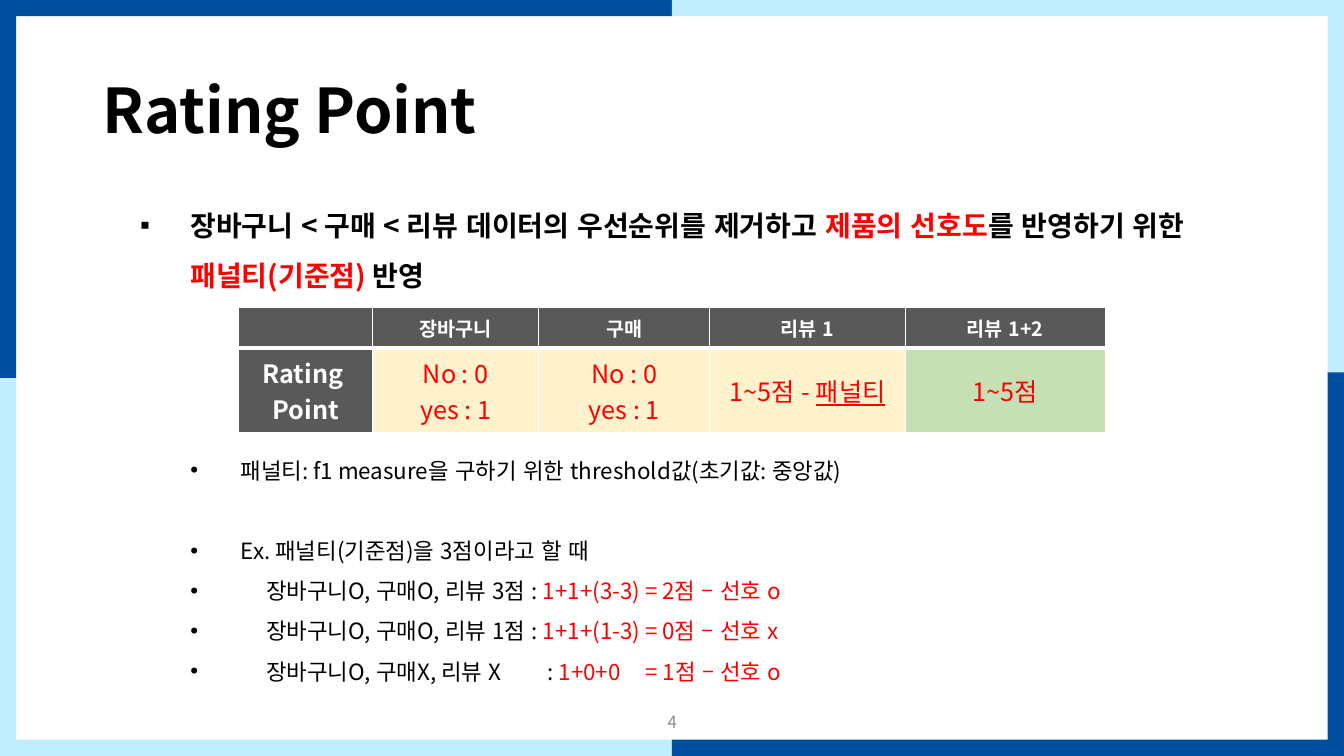
from lxml import etree
from pptx import Presentation
from pptx.dml.color import RGBColor
from pptx.enum import lang, shapes, text
from pptx.oxml import ns
from pptx import util as u

COLOURS = {
    "navy": "004F9E", "sky": "C2EDFE", "black": "000000", "white": "FFFFFF",
    "red": "FF0000", "grey": "8C8C8C", "header": "595959",
    "cream": "FFF2CC", "green": "C5E0B4",
}
WIDTH, HEIGHT = 33.87, 19.05


class SlideBuilder:
    """Holds the style and the current slide; lengths are centimetres."""
    font = "Noto Sans CJK KR"

    def __init__(self, page):
        self.page = page

    def colour(self, name):
        return RGBColor.from_string(COLOURS[name])

    def span(self, para, words, size, colour="black", bold=False, underline=False):
        span = para.add_run()
        span.text = words
        font = span.font
        font.name, font.size = self.font, u.Pt(size)
        font.bold, font.underline = bold, underline
        font.language_id = lang.MSO_LANGUAGE_ID.KOREAN
        font.color.rgb = self.colour(colour)
        east = etree.SubElement(span._r.get_or_add_rPr(), ns.qn("a:ea"))
        east.set("typeface", self.font)

    def bullet(self, para, mark, left, hanging, tabs=()):
        props = para._p.get_or_add_pPr()
        props.set("marL", str(u.Cm(left)))
        props.set("indent", str(-u.Cm(hanging)))
        etree.SubElement(props, ns.qn("a:buFont")).set("typeface", "Arial")
        etree.SubElement(props, ns.qn("a:buChar")).set("char", mark)
        if tabs:
            stops = etree.SubElement(props, ns.qn("a:tabLst"))
            for place in tabs:
                etree.SubElement(stops, ns.qn("a:tab"), pos=str(u.Cm(place)), algn="l")

    def bar(self, left, top, width, height, colour):
        bar = self.page.shapes.add_shape(
            shapes.MSO_SHAPE.RECTANGLE, *map(u.Cm, (left, top, width, height)))
        bar.shadow.inherit = False
        bar.fill.solid()
        bar.fill.fore_color.rgb = self.colour(colour)
        bar.line.fill.background()

    def title(self, left, top, width, height, words):
        title = self.page.shapes.title
        title.left, title.top, title.width, title.height = map(
            u.Cm, (left, top, width, height))
        title.text_frame.vertical_anchor = text.MSO_ANCHOR.MIDDLE
        para = title.text_frame.paragraphs[0]
        para.alignment, para.line_spacing = text.PP_ALIGN.LEFT, 0.9
        self.span(para, words, 44, bold=True)

    def box(self, left, top, width, height, anchor=text.MSO_ANCHOR.TOP):
        box = self.page.shapes.add_textbox(*map(u.Cm, (left, top, width, height)))
        box.text_frame.word_wrap = True
        box.text_frame.vertical_anchor = anchor
        return box.text_frame

    def border(self, cell, top, bottom):
        props = cell._tc.get_or_add_tcPr()
        sides = (("lnL", 1), ("lnR", 1), ("lnT", top), ("lnB", bottom))
        for place, (side, points) in enumerate(sides):
            line = etree.Element(ns.qn("a:" + side), w=str(u.Pt(points)))
            fill = etree.SubElement(line, ns.qn("a:solidFill"))
            etree.SubElement(fill, ns.qn("a:srgbClr")).set("val", COLOURS["white"])
            props.insert(place, line)

    def cell(self, cell, lines, fill, size, colour, bold, top, bottom):
        """Each line is a list of (words, underline) spans."""
        cell.fill.solid()
        cell.fill.fore_color.rgb = self.colour(fill)
        cell.vertical_anchor = text.MSO_ANCHOR.MIDDLE
        self.border(cell, top, bottom)
        for number, line in enumerate(lines):
            frame = cell.text_frame
            para = frame.add_paragraph() if number else frame.paragraphs[0]
            para.alignment = text.PP_ALIGN.CENTER
            for words, underline in line:
                self.span(para, words, size, colour, bold, underline)

    def table(self, left, top, widths, heights):
        frame = self.page.shapes.add_table(
            len(heights), len(widths),
            *map(u.Cm, (left, top, sum(widths), sum(heights))))
        for column, width in zip(frame.table.columns, widths):
            column.width = u.Cm(width)
        for row, height in zip(frame.table.rows, heights):
            row.height = u.Cm(height)
        return frame.table


def main():
    deck = Presentation()
    deck.slide_width, deck.slide_height = u.Cm(WIDTH), u.Cm(HEIGHT)
    slide = SlideBuilder(deck.slides.add_slide(deck.slide_layouts[5]))

    # Two-colour frame: each edge is split in half
    thick, half_w, half_h = 0.41, WIDTH / 2, HEIGHT / 2
    for top, pair in ((0, ("navy", "sky")), (HEIGHT - thick, ("sky", "navy"))):
        for part, colour in enumerate(pair):
            slide.bar(part * half_w, top, half_w, thick, colour)
    for left, pair, lift in ((0, ("navy", "sky"), 0),
                             (WIDTH - thick, ("sky", "navy"), 0.14)):
        for part, colour in enumerate(pair):
            slide.bar(left, part * (half_h - lift), thick, half_h, colour)

    # Title and page number on its white plate
    slide.title(2.34, 1.02, 29.21, 3.68, "Rating Point")
    slide.bar(16.56, 17.93, 0.71, 0.69, "white")
    number = slide.box(13.13, 17.68, 7.62, 1.02, text.MSO_ANCHOR.MIDDLE).paragraphs[0]
    number.alignment = text.PP_ALIGN.CENTER
    slide.span(number, "4", 12, "grey")

    # Main statement, leaving room for the table below it
    body = slide.box(3.28, 4.7, 27, 12.7)
    statement = body.paragraphs[0]
    statement.line_spacing, statement.space_after = 1.5, u.Pt(108)
    slide.bullet(statement, "▪", 1.27, 1.27)
    for words, colour in (
            ("장바구니 < 구매 < 리뷰 데이터의 우선순위를 제거하고 ", "black"),
            ("제품의 선호도", "red"), ("를 반영하기 위한 ", "black"),
            ("패널티(기준점)", "red"), (" 반영", "black")):
        slide.span(statement, words, 20, colour, bold=True)

    # Notes and worked examples: black part, red part, extra indent, space after
    notes = (
        ("패널티: f1 measure을 구하기 위한 threshold값(초기값: 중앙값)", "", 0, 28.5),
        ("Ex. 패널티(기준점)을 3점이라고 할 때", "", 0, 0),
        ("장바구니O, 구매O, 리뷰 3점 : ", "1+1+(3-3) = 2점 – 선호 o", 0.64, 0),
        ("장바구니O, 구매O, 리뷰 1점 : ", "1+1+(1-3) = 0점 – 선호 x", 0.64, 0),
        ("장바구니O, 구매X, 리뷰 X\t: ", "1+0+0\t= 1점 – 선호 o", 0.64, 0),
    )
    for words, result, extra, gap in notes:
        para = body.add_paragraph()
        para.level, para.line_spacing = 1, 1.5
        para.space_before, para.space_after = u.Pt(0), u.Pt(gap)
        tabs = (10.27, 12.74) if "\t" in words else ()
        slide.bullet(para, "•", 2.54 + extra, 1.27 + extra, tabs)
        slide.span(para, words, 16)
        if result:
            slide.span(para, result, 16, "red")

    # Rating table
    table = slide.table(6.02, 7.75, (3.37, 4.19, 4.3, 4.93, 5.04), (1.02, 2.13))
    for column, words in enumerate(("", "장바구니", "구매", "리뷰 1", "리뷰 1+2")):
        slide.cell(table.cell(0, column), [[(words, False)]],
                   "header", 14, "white", True, 1, 3)
    yes_no = [[("No : 0", False)], [("yes : 1", False)]]
    ratings = (
        ([[("Rating ", False)], [("Point", False)]], "header", "white"),
        (yes_no, "cream", "red"),
        (yes_no, "cream", "red"),
        ([[("1~5점 - ", False), ("패널티", True)]], "cream", "red"),
        ([[("1~5점", False)]], "green", "red"),
    )
    for column, (lines, fill, colour) in enumerate(ratings):
        slide.cell(table.cell(1, column), lines, fill, 18, colour,
                   column == 0, 3, 1)

    deck.save("out.pptx")


if __name__ == "__main__":
    main()
